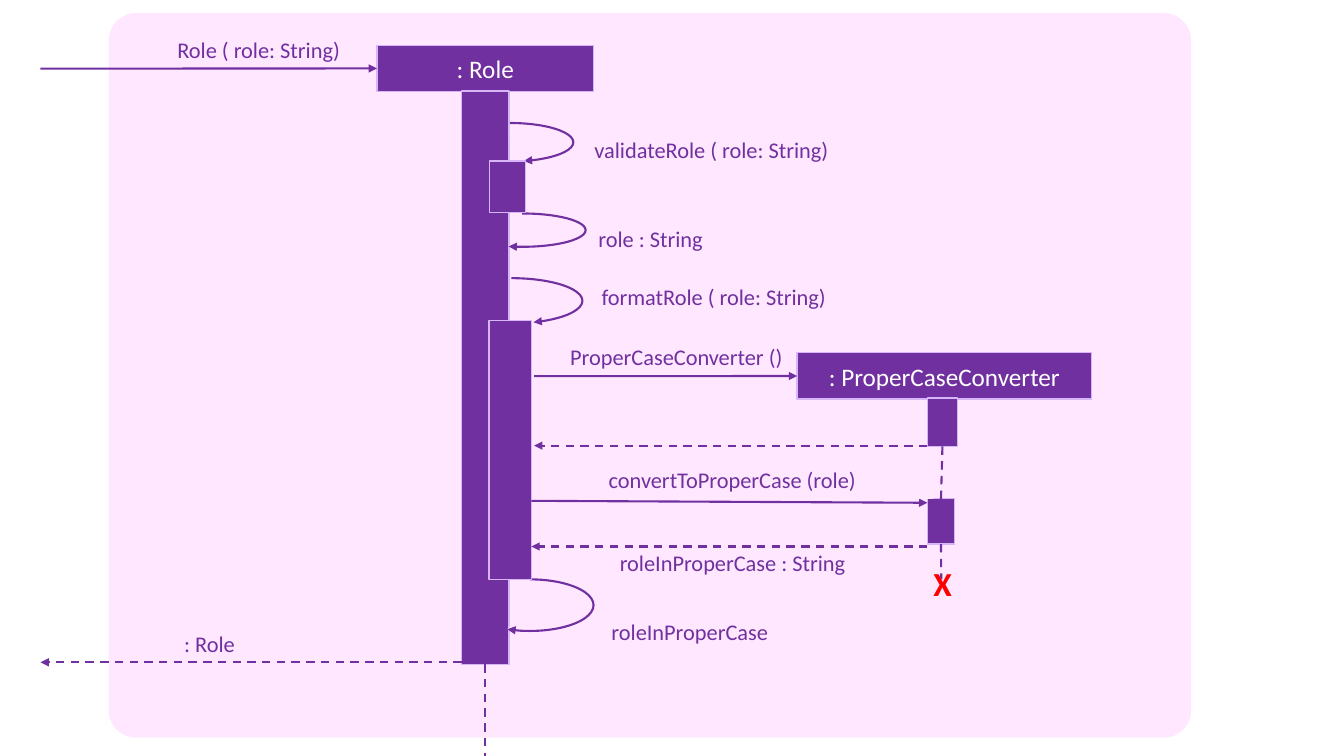
import pptx
import pptx.dml.color
import pptx.enum.dml
import pptx.enum.shapes
import pptx.enum.text
import pptx.oxml
import pptx.oxml.ns
import pptx.util

Cm = pptx.util.Cm
Pt = pptx.util.Pt
Shape = pptx.enum.shapes.MSO_SHAPE
Align = pptx.enum.text.PP_ALIGN

COLORS = {
    "purple": "7030A0",
    "lilac": "D7B5F9",
    "frame": "FFE7FF",
    "header": "FFFFFF",
    "destroy": "FF0000",
}
FONTS = {
    "header": {"name": "Calibri", "size": Pt(18)},
    "message": {"name": "Calibri", "size": Pt(16)},
    "destroy": {"name": "Calibri", "size": Pt(24), "bold": True},
}
TEXT_FRAME = {
    "word_wrap": True,
    "auto_size": pptx.enum.text.MSO_AUTO_SIZE.SHAPE_TO_FIT_TEXT,
}
TOP, LEFT, BOTTOM = 0, 1, 2
LABEL_HEIGHT = 0.94


def rgb(name):
    return pptx.dml.color.RGBColor.from_string(COLORS[name])


def set_all(target, values):
    for name, value in values.items():
        setattr(target, name, value)


def add_arrowhead(line_owner):
    line = line_owner.line._get_or_add_ln()
    head = pptx.oxml.parse_xml(
        '<a:tailEnd xmlns:a="http://schemas.openxmlformats.org/drawingml/2006/main" type="triangle"/>'
    )
    line.append(head)


def add_solid(slide, kind, left, top, width, height, fill, outline=None, weight=1):
    solid = slide.shapes.add_shape(kind, Cm(left), Cm(top), Cm(width), Cm(height))
    solid.shadow.inherit = False
    solid.fill.solid()
    solid.fill.fore_color.rgb = rgb(fill)
    if outline:
        solid.line.color.rgb = rgb(outline)
        solid.line.width = Pt(weight)
    else:
        solid.line.fill.background()
    return solid


def add_bar(slide, left, top, width, height):
    return add_solid(slide, Shape.RECTANGLE, left, top, width, height, "purple", "lilac")


def write(frame, text, font, color, align):
    paragraph = frame.paragraphs[0]
    paragraph.alignment = align
    run = paragraph.add_run()
    run.text = text
    set_all(run.font, FONTS[font])
    run.font.color.rgb = rgb(color)


def add_header(slide, left, top, width, height, text):
    header = add_bar(slide, left, top, width, height)
    header.text_frame.vertical_anchor = pptx.enum.text.MSO_ANCHOR.MIDDLE
    write(header.text_frame, text, "header", "header", Align.CENTER)
    return header


def add_label(slide, left, top, width, text, font="message", color="purple",
              align=Align.LEFT, height=LABEL_HEIGHT, fill=None):
    label = slide.shapes.add_textbox(Cm(left), Cm(top), Cm(width), Cm(height))
    set_all(label.text_frame, TEXT_FRAME)
    if fill:
        label.fill.solid()
        label.fill.fore_color.rgb = rgb(fill)
    write(label.text_frame, text, font, color, align)


def add_line(slide, start, end, dashed=False, arrow=False, source=None, target=None):
    line = slide.shapes.add_connector(
        pptx.enum.shapes.MSO_CONNECTOR.STRAIGHT, *[Cm(value) for value in (*start, *end)]
    )
    line.line.color.rgb = rgb("purple")
    line.line.width = Pt(1.5)
    if dashed:
        line.line.dash_style = pptx.enum.dml.MSO_LINE.DASH
    if arrow:
        add_arrowhead(line)
    line._element.spPr.append(pptx.oxml.parse_xml(
        '<a:effectLst xmlns:a="http://schemas.openxmlformats.org/drawingml/2006/main"/>'
    ))
    if source:
        line.begin_connect(*source)
    if target:
        line.end_connect(*target)


def add_frame(slide, box):
    frame = add_solid(slide, Shape.ROUNDED_RECTANGLE, *box, "frame")
    frame.adjustments[0] = 0.038


def add_role_lifeline(slide, box):
    left, top, width, height = box
    header_height, bar_width = 1.17, 1.19
    header = add_header(slide, left, top, width, header_height, ": Role")
    middle = left + width / 2
    lifeline = add_bar(slide, middle - bar_width / 2, top + header_height - 0.02,
                       bar_width, height - header_height + 0.02)
    add_line(slide, (middle, top + height), (middle, 19.05), dashed=True,
             source=(lifeline, BOTTOM))
    self_calls = [
        ("validateRole ( role: String)", (1.75, 1.96, 3.2, 0.97), 32.02, (5.23, 2.16)),
        ("role : String", (2.06, 4.24, 3.2, 0.84), 77.95, (5.33, 4.4)),
        ("formatRole ( role: String)", (1.6, 5.87, 3.58, 1.14), 26.49, (5.41, 5.87)),
        ("roleInProperCase", (2.26, 13.46, 3.2, 1.3), 80.05, (5.66, 14.3)),
    ]
    for text, (x, y, arc_width, arc_height), end_angle, (label_x, label_y) in self_calls:
        loop = add_solid(slide, Shape.ARC, left + x, top + y, arc_width, arc_height,
                         "frame", "purple", 1.5)
        loop.adjustments[0] = 162
        loop.adjustments[1] = end_angle
        add_arrowhead(loop)
        add_label(slide, left + label_x, top + label_y, 9.22, text)
    for x, y, nested_width, nested_height in [(2.84, 2.92, 0.91, 1.3), (2.82, 6.94, 1.07, 6.53)]:
        add_bar(slide, left + x, top + y, nested_width, nested_height)
    return header


def add_converter_lifeline(slide, box):
    left, top, width, height = box
    header = add_header(slide, left, top, width, 1.17, ": ProperCaseConverter")
    bar_left = left + 3.28
    creation = add_bar(slide, bar_left, top + 1.14, 0.76, 1.22)
    conversion = add_bar(slide, bar_left, top + 3.68, 0.69, 1.14)
    add_line(slide, (bar_left + 0.38, top + 2.36), (bar_left + 0.35, top + 3.68),
             dashed=True, source=(creation, BOTTOM), target=(conversion, TOP))
    add_line(slide, (bar_left + 0.35, top + 4.82), (bar_left + 0.35, top + 5.71),
             dashed=True, source=(conversion, BOTTOM))
    add_label(slide, left + 3.18, top + height - 1.27, 3.15, "X", "destroy", "destroy",
              height=1.27)
    return header


def add_converter_messages(slide, box, converter):
    left, top, width, height = box
    right = left + width
    add_line(slide, (left + 0.07, top + 0.95), (right, top + 0.95), arrow=True,
             target=(converter, LEFT))
    add_line(slide, (right, top + 2.7), (left + 0.07, top + 2.7), dashed=True, arrow=True)
    add_line(slide, (left, top + 4.09), (right, top + 4.14), arrow=True)
    add_line(slide, (right, top + 5.24), (left, top + 5.24), dashed=True, arrow=True)
    add_label(slide, left + 0.73, top, 6.05, "ProperCaseConverter ()")
    add_label(slide, left + 1.7, top + 3.1, 8.43, "convertToProperCase (role)", fill="frame")
    add_label(slide, left + 1.98, top + height - LABEL_HEIGHT, 8.43, "roleInProperCase : String")


def add_caller_messages(slide, box, role):
    left, top, width, height = box
    bottom = top + height
    add_line(slide, (left, top + 0.94), (left + 8.48, top + 0.94), arrow=True,
             target=(role, LEFT))
    add_label(slide, left + 1.75, top, 6.05, "Role ( role: String)", align=Align.RIGHT)
    add_line(slide, (left + width, bottom), (left, bottom), dashed=True, arrow=True)
    add_label(slide, left + 3.37, bottom - LABEL_HEIGHT, 9.22, ": Role")


def main():
    deck = pptx.Presentation()
    deck.slide_width, deck.slide_height = Cm(33.87), Cm(19.05)
    slide = deck.slides.add_slide(deck.slide_layouts[6])
    add_frame(slide, (2.74, 0.33, 27.28, 18.26))
    role = add_role_lifeline(slide, (9.5, 1.14, 5.46, 15.6))
    converter = add_converter_lifeline(slide, (20.09, 8.89, 7.42, 6.45))
    add_converter_messages(slide, (13.39, 8.53, 9.98, 6.13), converter)
    add_caller_messages(slide, (1.02, 0.79, 10.62, 15.9), role)
    deck.save("out.pptx")


if __name__ == "__main__":
    main()
